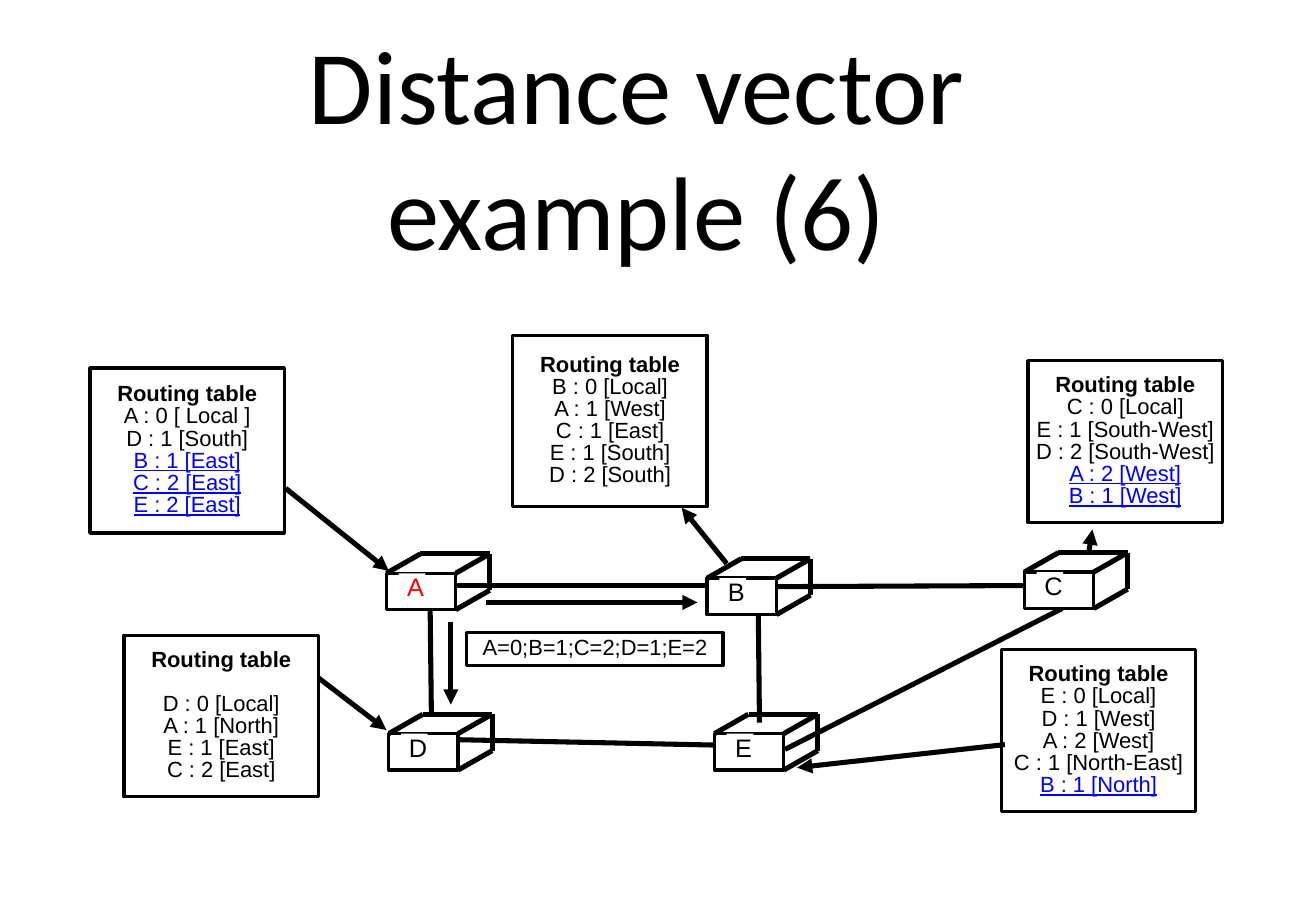
from lxml.etree import SubElement
from pptx import Presentation
from pptx.dml.color import RGBColor
from pptx.enum.shapes import MSO_CONNECTOR, MSO_SHAPE
from pptx.enum.text import MSO_ANCHOR, MSO_AUTO_SIZE, PP_ALIGN
from pptx.oxml.ns import qn
from pptx.util import Inches, Pt

BLACK = RGBColor(0x00, 0x00, 0x00)
WHITE = RGBColor(0xFF, 0xFF, 0xFF)
RED = RGBColor(0xFF, 0x00, 0x00)
BLUE = RGBColor(0x00, 0x00, 0xFF)

LINE_SPACING = 0.84
TABLE_WIDTH = 1.6
FRONT_WIDTH, FRONT_HEIGHT = 0.57, 0.3
DEPTH_X, DEPTH_Y = 0.28, 0.16

# Left, top, height, entries, number of changed entries at the end, gap under heading
ROUTING_TABLES = [
    (0.74, 3.03, 1.36, ["A : 0 [ Local ]", "D : 1 [South]", "B : 1 [East]",
                        "C : 2 [East]", "E : 2 [East]"], 3, 0),
    (4.22, 2.76, 1.41, ["B : 0 [Local]", "A : 1 [West]", "C : 1 [East]",
                        "E : 1 [South]", "D : 2 [South]"], 0, 0),
    (8.46, 2.97, 1.33, ["C : 0 [Local]", "E : 1 [South-West]", "D : 2 [South-West]",
                        "A : 2 [West]", "B : 1 [West]"], 2, 0),
    (8.24, 5.35, 1.33, ["E : 0 [Local]", "D : 1 [West]", "A : 2 [West]",
                        "C : 1 [North-East]", "B : 1 [North]"], 1, 0),
    (1.02, 5.23, 1.33, ["D : 0 [Local]", "A : 1 [North]", "E : 1 [East]",
                        "C : 2 [East]"], 0, 13),
]
ROUTERS = [
    ("A", 3.18, 4.72, RED),
    ("B", 5.82, 4.76, BLACK),
    ("C", 8.43, 4.71, BLACK),
    ("D", 3.2, 6.04, BLACK),
    ("E", 5.88, 6.04, BLACK),
]
LINKS = [
    (3.54, 5.01, 3.55, 5.88),
    (3.77, 6.09, 6.16, 6.14),
    (3.72, 4.82, 6.13, 4.82),
    (6.24, 4.99, 6.25, 5.95),
    (6.46, 6.17, 8.74, 5.01),
    (6.35, 4.83, 8.63, 4.82),
]
TABLE_ARROWS = [
    (2.35, 4.02, 3.2, 4.7),
    (5.98, 4.64, 5.61, 4.18),
    (8.96, 4.55, 8.99, 4.36),
    (2.62, 5.58, 3.18, 6.01),
    (8.27, 6.13, 6.56, 6.32),
]
MESSAGE_ARROWS = [(4, 4.96, 5.74, 4.96), (3.71, 5.12, 3.71, 5.8)]


def add_line(page, start_x, start_y, end_x, end_y, arrow=False):
    line = page.shapes.add_connector(
        MSO_CONNECTOR.STRAIGHT, Inches(start_x), Inches(start_y),
        Inches(end_x), Inches(end_y))
    line.line.color.rgb = BLACK
    line.line.width = Pt(3)
    if arrow:
        SubElement(line.line._get_or_add_ln(), qn("a:tailEnd"), type="triangle")
    SubElement(line._element.spPr, qn("a:effectLst"))


def add_box(page, left, top, width, height, filled=False, outlined=True):
    box = page.shapes.add_shape(
        MSO_SHAPE.RECTANGLE, Inches(left), Inches(top), Inches(width), Inches(height))
    box.shadow.inherit = False
    if filled:
        box.fill.solid()
        box.fill.fore_color.rgb = WHITE
    else:
        box.fill.background()
    if outlined:
        box.line.color.rgb = BLACK
        box.line.width = Pt(2)
    else:
        box.line.fill.background()
    return box


def set_text(box, lines, size, color=BLACK):
    """Write one centred paragraph per line and return the paragraphs."""
    frame = box.text_frame
    frame.margin_left = frame.margin_right = frame.margin_top = frame.margin_bottom = 0
    frame.vertical_anchor = MSO_ANCHOR.MIDDLE
    frame.text = "\n".join(lines)
    for para in frame.paragraphs:
        para.alignment = PP_ALIGN.CENTER
        para.line_spacing = LINE_SPACING
        for span in para.runs:
            span.font.name = "Arial"
            span.font.size = Pt(size)
            span.font.color.rgb = color
    return frame.paragraphs


def add_title(page, left, top, width, height):
    title = page.shapes.title
    title.left, title.top = Inches(left), Inches(top)
    title.width, title.height = Inches(width), Inches(height)
    frame = title.text_frame
    frame.text = "Distance vector\vexample (6)"
    frame.auto_size = MSO_AUTO_SIZE.NONE
    frame.vertical_anchor = MSO_ANCHOR.MIDDLE
    frame.margin_left = frame.margin_right = Inches(0.04)
    frame.margin_top = frame.margin_bottom = Inches(0.04)
    para = frame.paragraphs[0]
    para.alignment = PP_ALIGN.CENTER
    for span in para.runs:
        span.font.name = "Calibri"
        span.font.size = Pt(62)
        span.font.color.rgb = BLACK


def add_routing_table(page, left, top, height, entries, changed, heading_gap):
    box = add_box(page, left, top, TABLE_WIDTH, height)
    heading, *rows = set_text(box, ["Routing table"] + entries, 13)
    heading.space_after = Pt(heading_gap)
    heading.runs[0].font.bold = True
    for para in rows[len(rows) - changed:]:
        para.runs[0].font.color.rgb = BLUE
        para.runs[0].font.underline = True


def add_router(page, name, left, top, color):
    """Draw a wire-frame cuboid whose front face starts at left, top."""
    add_box(page, left, top, FRONT_WIDTH, FRONT_HEIGHT, filled=True)
    right, bottom = left + FRONT_WIDTH, top + FRONT_HEIGHT
    back_left, back_right = left + DEPTH_X, right + DEPTH_X
    back_top, back_bottom = top - DEPTH_Y, bottom - DEPTH_Y
    add_line(page, left, top, back_left, back_top)
    add_line(page, right, top, back_right, back_top)
    add_line(page, right, bottom, back_right, back_bottom)
    add_line(page, back_left, back_top, back_right, back_top)
    add_line(page, back_right, back_top, back_right, back_bottom)
    label = add_box(page, left + 0.1, top, 0.22, 0.26, filled=True, outlined=False)
    set_text(label, [name], 15, color)
    label.text_frame.margin_left = Inches(0.06)
    label.text_frame.word_wrap = False


def add_message(page, left, top, width, height):
    box = add_box(page, left, top, width, height)
    set_text(box, ["A=0;B=1;C=2;D=1;E=2"], 13)
    for ends in MESSAGE_ARROWS:
        add_line(page, *ends, arrow=True)


def main():
    deck = Presentation()
    deck.slide_width, deck.slide_height = Inches(10.83), Inches(7.5)
    page = deck.slides.add_slide(deck.slide_layouts[5])
    add_title(page, 2, 0.54, 6.48, 1.32)
    for ends in LINKS:
        add_line(page, *ends)
    for router in ROUTERS:
        add_router(page, *router)
    for table in ROUTING_TABLES:
        add_routing_table(page, *table)
    for ends in TABLE_ARROWS:
        add_line(page, *ends, arrow=True)
    add_message(page, 3.84, 5.21, 2.11, 0.27)
    deck.save("out.pptx")


if __name__ == "__main__":
    main()
